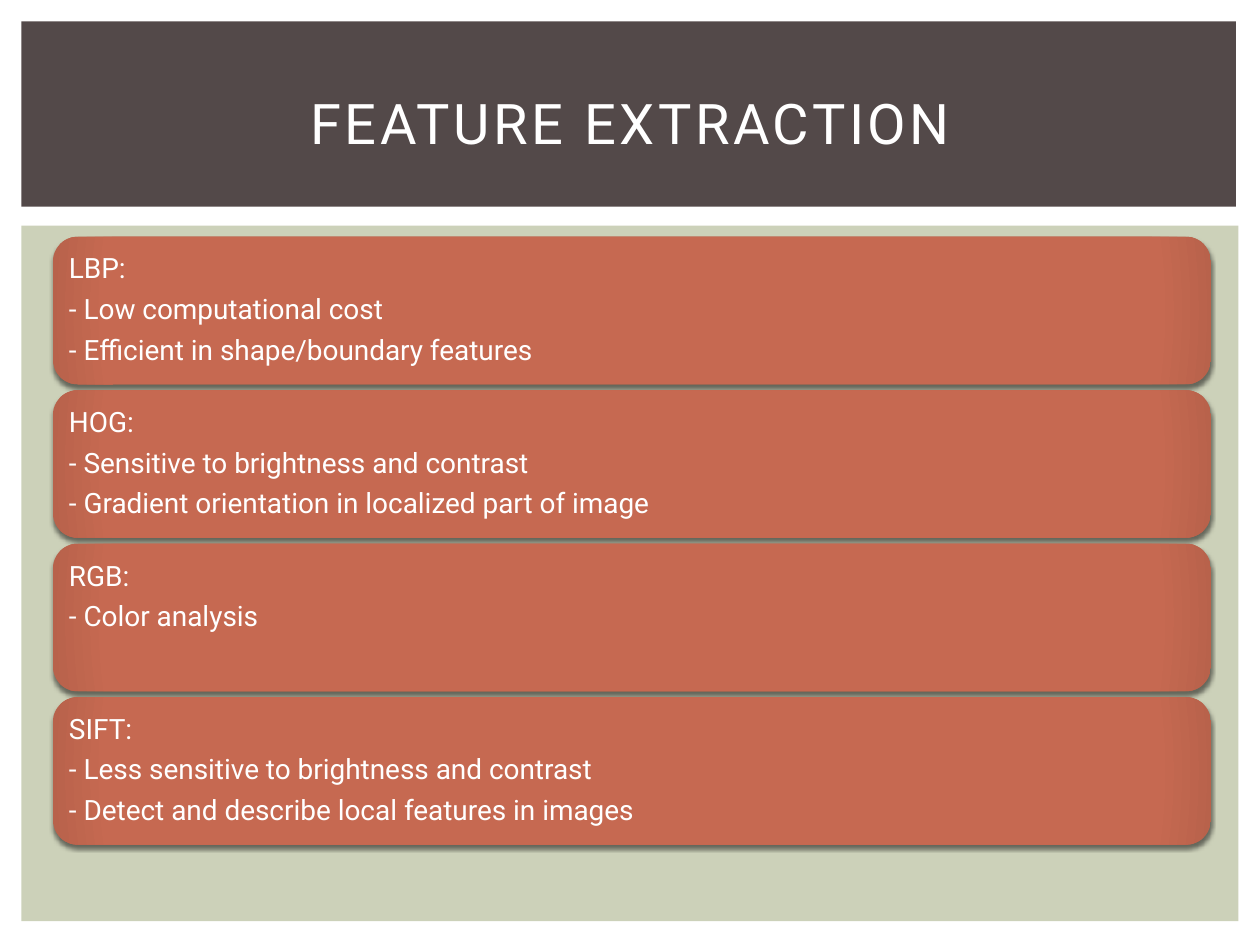
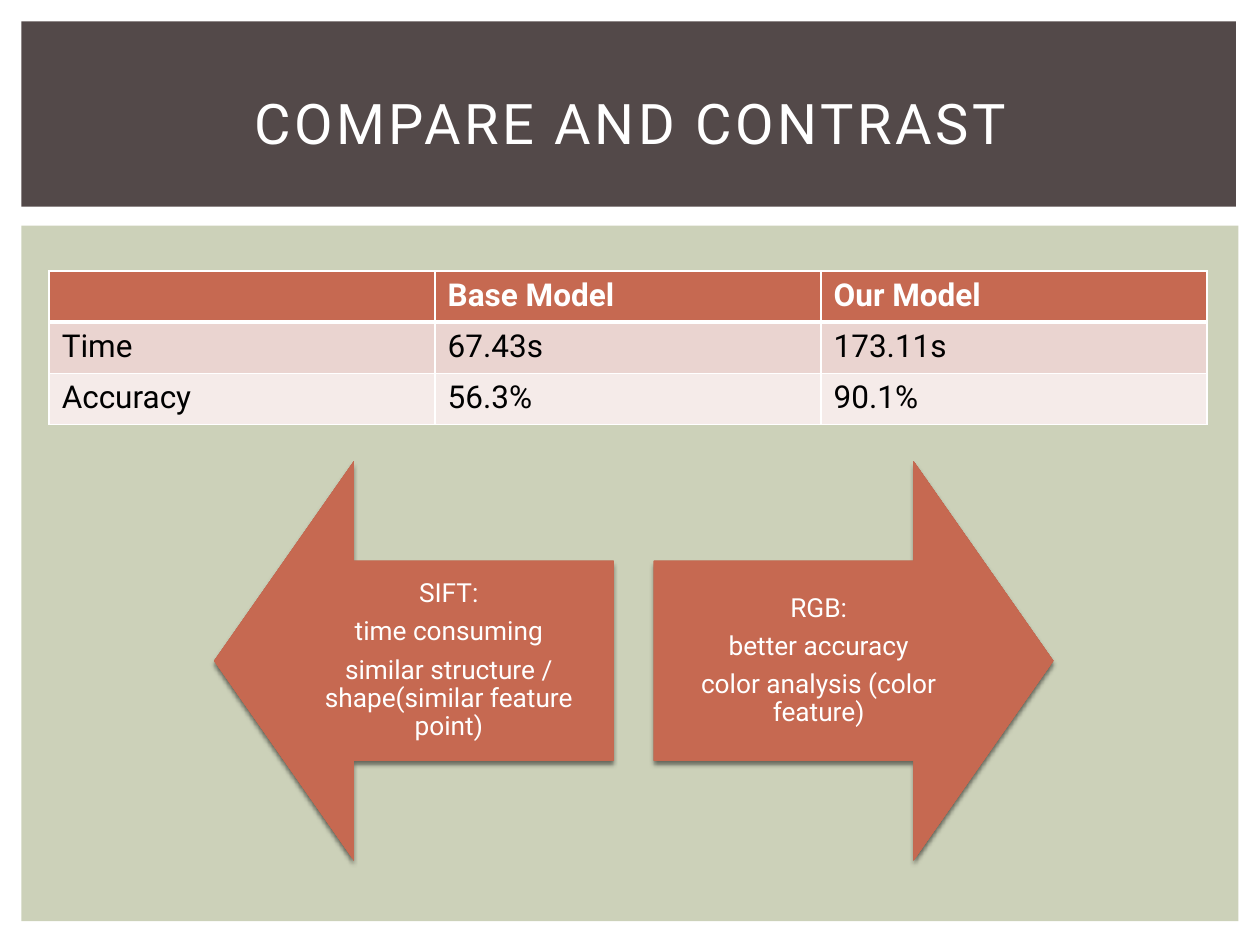
"""Builds two slides on feature extraction and model comparison."""
from pptx import Presentation
from pptx.dml.color import RGBColor
from pptx.enum.shapes import MSO_SHAPE as SHAPE
from pptx.enum.text import MSO_ANCHOR as ANCHOR, MSO_AUTO_SIZE as AUTO_SIZE, PP_ALIGN as ALIGN
from pptx.oxml import parse_xml
from pptx.util import Inches, Pt

FONT = "Roboto"
WHITE = RGBColor(0xFF, 0xFF, 0xFF)
BLACK = RGBColor(0x00, 0x00, 0x00)
SAGE = RGBColor(0xCC, 0xD1, 0xB9)
BROWN = RGBColor(0x53, 0x49, 0x49)
RUST = RGBColor(0xC6, 0x69, 0x51)
DARK_RUST = RGBColor(0xB8, 0x62, 0x4B)
PINK = RGBColor(0xEA, 0xD4, 0xD0)
PALE_PINK = RGBColor(0xF5, 0xEB, 0xE9)
NS = 'xmlns:a="http://schemas.openxmlformats.org/drawingml/2006/main"'
GRADIENT = (
    f'<a:gradFill {NS} rotWithShape="1"><a:gsLst>'
    f'<a:gs pos="0"><a:srgbClr val="{RUST}"/></a:gs>'
    f'<a:gs pos="90000"><a:srgbClr val="{RUST}"/></a:gs>'
    f'<a:gs pos="100000"><a:srgbClr val="{DARK_RUST}"/></a:gs></a:gsLst>'
    '<a:path path="circle"><a:fillToRect l="100000" t="100000" r="100000" b="100000"/></a:path>'
    '</a:gradFill>')
SHADOW = (
    f'<a:outerShdw {NS} blurRad="31750" dist="25400" dir="5400000" rotWithShape="0">'
    '<a:srgbClr val="000000"><a:alpha val="50000"/></a:srgbClr></a:outerShdw>')


def style_text(tf, size, color, align=ALIGN.LEFT, bold=False):
    for p in tf.paragraphs:
        p.alignment = align
        for r in p.runs:
            r.font.name, r.font.size, r.font.bold = FONT, Pt(size), bold
            r.font.color.rgb = color


def add_panel(s, kind, box, lines, size, inset, align):
    sp = s.shapes.add_shape(kind, *map(Inches, box))
    sp.line.fill.background()
    sp.shadow.inherit = False
    spPr = sp._element.spPr
    spPr.insert(2, parse_xml(GRADIENT))
    spPr[-1].append(parse_xml(SHADOW))
    tf = sp.text_frame
    tf.word_wrap = True
    tf.vertical_anchor = ANCHOR.MIDDLE
    tf.margin_left = tf.margin_right = tf.margin_top = tf.margin_bottom = Inches(inset)
    tf.text = "\n".join(lines)
    style_text(tf, size, WHITE, align)
    for p in tf.paragraphs:
        p.line_spacing = 0.9
        p.space_after = Pt(size * 0.37)
    return sp


prs = Presentation()
prs.slide_width, prs.slide_height = Inches(10), Inches(7.5)
layout = prs.slide_layouts[5]
slides = []
for title in ["FEATURE EXTRACTION", "COMPARE AND CONTRAST"]:
    s = prs.slides.add_slide(layout)
    sp = s.shapes.title
    sp.left, sp.top, sp.width, sp.height = map(Inches, (0.42, 0.39, 9.17, 1.15))
    tf = sp.text_frame
    tf.text = title
    tf.auto_size = AUTO_SIZE.NONE
    tf.vertical_anchor = ANCHOR.MIDDLE
    style_text(tf, 32, WHITE, ALIGN.CENTER)
    tf.paragraphs[0].runs[0].font._element.set("spc", "200")
    slides.append(s)
features, compare = slides

for color, box in [(SAGE, (0.17, 1.79, 9.66, 5.52)), (BROWN, (0.17, 0.17, 9.64, 1.47))]:
    band = features.shapes.add_shape(SHAPE.RECTANGLE, *map(Inches, box))
    band.fill.solid()
    band.fill.fore_color.rgb = color
    band.line.fill.background()
    band.shadow.inherit = False
    layout.shapes._spTree.insert(2, band._element)

cards = [
    ["LBP:", "- Low computational cost", "- Efficient in shape/boundary features"],
    ["HOG:", "- Sensitive to brightness and contrast",
     "- Gradient orientation in localized part of image"],
    ["RGB:", "- Color analysis"],
    ["SIFT:", "- Less sensitive to brightness and contrast",
     "- Detect and describe local features in images"],
]
for i, lines in enumerate(cards):
    card = add_panel(features, SHAPE.ROUNDED_RECTANGLE, (0.42, 1.88 + i * 1.218, 9.19, 1.17),
                     lines, 16, 0.07, ALIGN.LEFT)
    card.text_frame.margin_bottom = Inches(0.07 + 0.32 * (3 - len(lines)))

rows = [["", "Base Model", "Our Model"],
        ["Time", "67.43s", "173.11s"],
        ["Accuracy", "56.3%", "90.1%"]]
table = compare.shapes.add_table(
    3, 3, Inches(0.39), Inches(2.15), Inches(9.19), Inches(1.22)).table
for i, (row, fill) in enumerate(zip(rows, [RUST, PINK, PALE_PINK])):
    for j, text in enumerate(row):
        cell = table.cell(i, j)
        cell.text = text
        cell.fill.solid()
        cell.fill.fore_color.rgb = fill
        style_text(cell.text_frame, 18, BLACK if i else WHITE, bold=i == 0)
        tcPr = cell._tc.get_or_add_tcPr()
        for k, side in enumerate("LRTB"):
            heavy = (i, side) in [(0, "B"), (1, "T")]
            tcPr.insert(k, parse_xml(
                f'<a:ln{side} {NS} w="{Pt(3 if heavy else 1)}"><a:solidFill>'
                f'<a:srgbClr val="{WHITE}"/></a:solidFill></a:ln{side}>'))

arrows = [
    (SHAPE.LEFT_ARROW, 1.7,
     ["SIFT:", "time consuming", "similar structure / shape(similar feature point)"]),
    (SHAPE.RIGHT_ARROW, 5.19,
     ["RGB:", "better accuracy", "color analysis (color feature)"]),
]
for kind, left, lines in arrows:
    arrow = add_panel(compare, kind, (left, 3.66, 3.17, 3.17), lines, 15, 0.12, ALIGN.CENTER)
    arrow.adjustments[0], arrow.adjustments[1] = 0.5, 0.35

prs.save("out.pptx")
